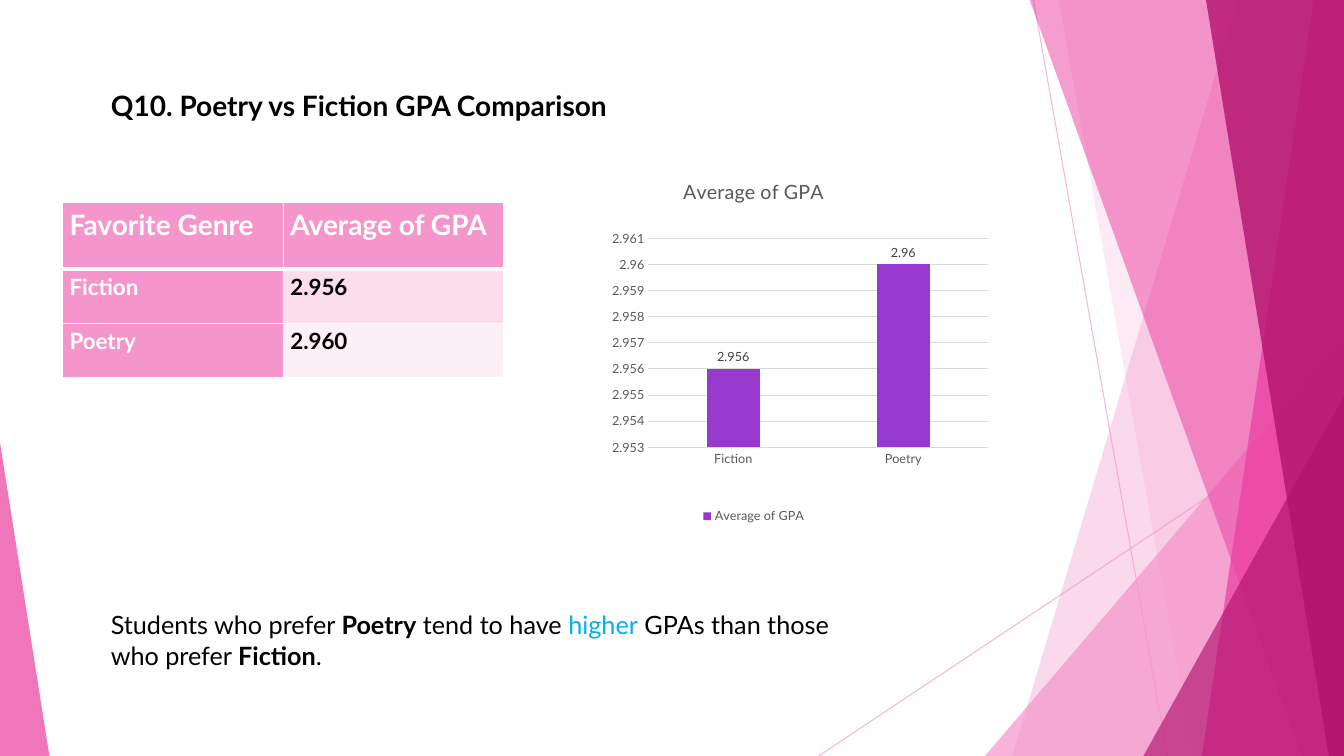
from dataclasses import dataclass

from lxml.etree import SubElement
from pptx import Presentation
from pptx.chart.data import CategoryChartData
from pptx.dml.color import RGBColor
from pptx.enum.chart import XL_CHART_TYPE, XL_LABEL_POSITION, XL_LEGEND_POSITION, XL_TICK_MARK
from pptx.enum.shapes import MSO_CONNECTOR, MSO_SHAPE
from pptx.enum.text import MSO_ANCHOR, MSO_AUTO_SIZE, PP_ALIGN
from pptx.oxml import parse_xml
from pptx.oxml.ns import nsdecls, qn
from pptx.util import Pt

EMU_PER_PX = 9144
WIDTH, HEIGHT = 1333, 750


@dataclass(frozen=True)
class Theme:
    font: str = "Lato"
    black: str = "000000"
    white: str = "FFFFFF"
    light_pink: str = "F496CB"
    pink: str = "EB3D9F"
    magenta: str = "B2136D"
    band_dark: str = "FBDDEC"
    band_light: str = "FDEFF6"
    purple: str = "9739CF"
    highlight: str = "00B0F0"
    grid: str = "D9D9D9"
    axis_text: str = "595959"
    label_text: str = "404040"
    title_size: int = 20
    body_size: int = 18
    cell_size: int = 16
    chart_title_size: int = 14
    chart_size: int = 10
    axis_size: int = 9


def px(*lengths):
    return [length * EMU_PER_PX for length in lengths]


def rgb(color):
    return RGBColor.from_string(color)


def set_opacity(fill_parent, percent):
    color = fill_parent.find(".//" + qn("a:srgbClr"))
    SubElement(color, qn("a:alpha"), val=str(percent * 1000))


class SlideBuilder:
    def __init__(self, presentation, theme):
        self.theme = theme
        self.slide = presentation.slides.add_slide(presentation.slide_layouts[5])
        self.shapes = self.slide.shapes

    def style_font(self, font, size, color, bold=False):
        font.name = self.theme.font
        font.size = Pt(size)
        font.bold = bold
        font.color.rgb = rgb(color)

    def paint(self, shape, color, opacity):
        shape.shadow.inherit = False
        shape.fill.solid()
        shape.fill.fore_color.rgb = rgb(color)
        set_opacity(shape.fill._xPr.find(qn("a:solidFill")), opacity)
        shape.line.fill.background()

    def line(self, start, end):
        connector = self.shapes.add_connector(MSO_CONNECTOR.STRAIGHT, *px(*start, *end))
        connector.line.width = Pt(0.75)
        connector.line.color.rgb = rgb(self.theme.light_pink)
        properties = connector._element.spPr
        set_opacity(properties, 70)
        SubElement(properties, qn("a:effectLst"))

    def band(self, top_left, bottom_left, color, opacity):
        builder = self.shapes.build_freeform(top_left, -1, scale=EMU_PER_PX)
        builder.add_line_segments([(WIDTH, -1), (WIDTH, HEIGHT), (bottom_left, HEIGHT)])
        self.paint(builder.convert_to_shape(), color, opacity)

    def triangle(self, box, apex, color, opacity):
        shape = self.shapes.add_shape(MSO_SHAPE.ISOSCELES_TRIANGLE, *px(*box))
        shape.adjustments[0] = apex
        self.paint(shape, color, opacity)

    def title(self, box, text):
        title = self.shapes.title
        title.left, title.top, title.width, title.height = px(*box)
        frame = title.text_frame
        frame.text = text
        frame.word_wrap = True
        frame.auto_size = MSO_AUTO_SIZE.SHAPE_TO_FIT_TEXT
        frame.vertical_anchor = MSO_ANCHOR.TOP
        paragraph = frame.paragraphs[0]
        paragraph.alignment = PP_ALIGN.LEFT
        self.style_font(paragraph.font, self.theme.title_size, self.theme.black, True)

    def text(self, box, pieces):
        frame = self.shapes.add_textbox(*px(*box)).text_frame
        frame.word_wrap = True
        frame.auto_size = MSO_AUTO_SIZE.SHAPE_TO_FIT_TEXT
        paragraph = frame.paragraphs[0]
        self.style_font(paragraph.font, self.theme.body_size, self.theme.black)
        for words, bold, color in pieces:
            run = paragraph.add_run()
            run.text = words
            run.font.bold = bold
            run.font.color.rgb = rgb(color)

    def cell(self, cell, text, size, color, fill, bottom_width):
        cell.margin_left, cell.margin_right = px(7, 7)
        cell.margin_top = cell.margin_bottom = 0
        cell.text = text
        paragraph = cell.text_frame.paragraphs[0]
        paragraph.line_spacing = 1.15
        self.style_font(paragraph.font, size, color, True)
        properties = cell._tc.get_or_add_tcPr()
        for side, width in (("L", 1), ("R", 1), ("T", 1), ("B", bottom_width)):
            properties.append(parse_xml(
                f'<a:ln{side} {nsdecls("a")} w="{Pt(width)}"><a:solidFill>'
                f'<a:srgbClr val="{self.theme.white}"/></a:solidFill></a:ln{side}>'))
        cell.fill.solid()
        cell.fill.fore_color.rgb = rgb(fill)

    def table(self, box, header, rows, row_heights):
        theme = self.theme
        table = self.shapes.add_table(len(rows) + 1, len(header), *px(*box)).table
        table.first_row = table.horz_banding = False
        for row, height in zip(table.rows, px(*row_heights)):
            row.height = height
        for column, text in enumerate(header):
            self.cell(table.cell(0, column), text, theme.title_size, theme.white, theme.light_pink, 3)
        bands = (theme.band_dark, theme.band_light)
        for index, (genre, average) in enumerate(rows):
            self.cell(table.cell(index + 1, 0), genre, theme.cell_size, theme.white, theme.light_pink, 1)
            self.cell(table.cell(index + 1, 1), average, theme.cell_size, theme.black, bands[index % 2], 1)

    def column_chart(self, box, name, categories, values):
        theme = self.theme
        data = CategoryChartData()
        data.categories = categories
        data.add_series(name, values)
        chart = self.shapes.add_chart(XL_CHART_TYPE.COLUMN_CLUSTERED, *px(*box), data).chart
        self.style_font(chart.font, theme.chart_size, theme.black)
        chart.has_title = True
        chart.chart_title.include_in_layout = False
        chart.chart_title.text_frame.text = name
        title = chart.chart_title.text_frame.paragraphs[0]
        self.style_font(title.font, theme.chart_title_size, theme.axis_text)
        chart.has_legend = True
        chart.legend.position = XL_LEGEND_POSITION.BOTTOM
        chart.legend.include_in_layout = False
        self.style_font(chart.legend.font, theme.axis_size, theme.axis_text)

        value_axis, category_axis = chart.value_axis, chart.category_axis
        for axis in (value_axis, category_axis):
            axis.major_tick_mark = axis.minor_tick_mark = XL_TICK_MARK.NONE
            self.style_font(axis.tick_labels.font, theme.axis_size, theme.axis_text)
        value_axis.minimum_scale, value_axis.maximum_scale = 2.953, 2.961
        value_axis.major_unit = 0.001
        value_axis.format.line.fill.background()
        for line in (value_axis.major_gridlines.format.line, category_axis.format.line):
            line.width = Pt(0.75)
            line.color.rgb = rgb(theme.grid)

        plot = chart.plots[0]
        plot.vary_by_categories = False
        plot.gap_width, plot.overlap = 219, -27
        series = plot.series[0]
        series.format.fill.solid()
        series.format.fill.fore_color.rgb = rgb(theme.purple)
        labels = series.data_labels
        labels.show_value = True
        labels.position = XL_LABEL_POSITION.OUTSIDE_END
        self.style_font(labels.font, theme.axis_size, theme.label_text)

        area = chart._chartSpace.chart.plotArea
        for layout in area.findall(qn("c:layout")):
            area.remove(layout)
        settings = dict(layoutTarget="inner", xMode="edge", yMode="edge", x=0.28, y=0.21, w=0.71, h=0.57)
        items = "".join(f'<c:{key} val="{value}"/>' for key, value in settings.items())
        area.insert(0, parse_xml(
            f'<c:layout {nsdecls("c")}><c:manualLayout>{items}</c:manualLayout></c:layout>'))


def main():
    theme = Theme()
    presentation = Presentation()
    presentation.slide_width, presentation.slide_height = px(WIDTH, HEIGHT)
    builder = SlideBuilder(presentation, theme)

    builder.line((1025, 0), (1158, HEIGHT))
    builder.line((WIDTH, 403), (812, HEIGHT))
    builder.band(1228, 1004, theme.light_pink, 36)
    builder.band(1050, 1183, theme.light_pink, 20)
    builder.triangle((977, 333, 356, 417), 1, theme.light_pink, 72)
    builder.band(1021, 1291, theme.pink, 50)
    builder.band(1303, 1192, theme.pink, 70)
    builder.band(1196, 1318, theme.magenta, 80)
    builder.triangle((1134, 393, 199, 357), 1, theme.magenta, 66)
    builder.triangle((0, 439, 49, 311), 0, theme.pink, 70)

    builder.title((100, 83, 867, 44), "Q10. Poetry vs Fiction GPA Comparison")
    builder.table((62, 201, 438, 174), ("Favorite Genre", "Average of GPA"),
                  (("Fiction", "2.956"), ("Poetry", "2.960")), (66, 54, 54))
    builder.column_chart((510, 160, 475, 364), "Average of GPA", ("Fiction", "Poetry"), (2.956, 2.96))
    builder.text((100, 600, 738, 71), (
        ("Students who prefer ", False, theme.black),
        ("Poetry", True, theme.black),
        (" tend to have ", False, theme.black),
        ("higher", False, theme.highlight),
        (" GPAs than those who prefer ", False, theme.black),
        ("Fiction", True, theme.black),
        (".", False, theme.black)))
    presentation.save("out.pptx")


if __name__ == "__main__":
    main()
